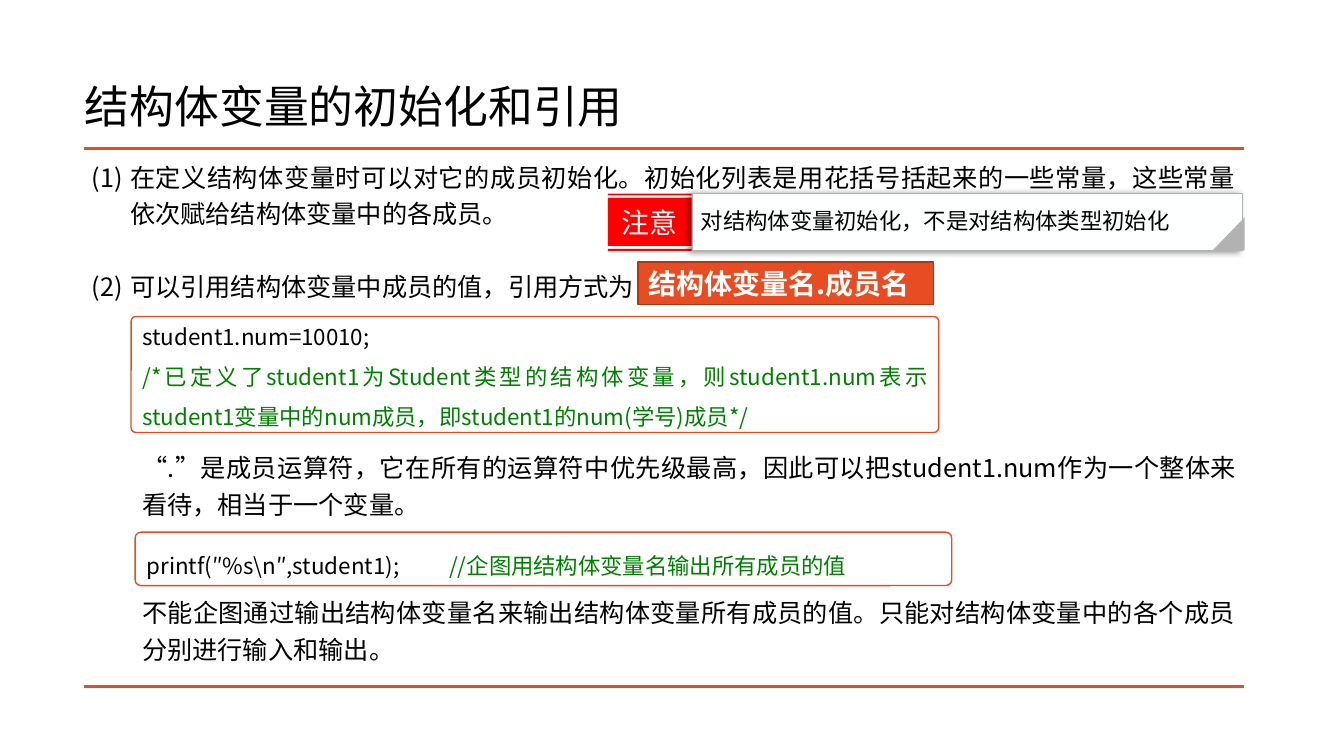
from dataclasses import dataclass

from lxml import etree
from pptx import Presentation
from pptx.dml.color import RGBColor
from pptx.enum.shapes import MSO_CONNECTOR, MSO_SHAPE
from pptx.enum.text import MSO_ANCHOR, PP_ALIGN
from pptx.oxml.ns import qn
from pptx.util import Inches, Pt

JUSTIFY, LEFT, CENTER = PP_ALIGN.JUSTIFY, PP_ALIGN.LEFT, PP_ALIGN.CENTER
TOP, MIDDLE = MSO_ANCHOR.TOP, MSO_ANCHOR.MIDDLE
RECTANGLE, ROUNDED = MSO_SHAPE.RECTANGLE, MSO_SHAPE.ROUNDED_RECTANGLE


@dataclass(frozen=True)
class Theme:
    font: str = "Noto Sans CJK SC"
    black: str = "000000"
    white: str = "FFFFFF"
    orange: str = "E84C22"
    orange_dark: str = "AC3819"
    green: str = "008000"
    red: str = "FF0000"
    gray: str = "B2B2B2"
    off_white: str = "FEFFFF"
    title: int = 32
    label: int = 20
    body: int = 18
    code: int = 16


theme = Theme()


def write(shape, paragraphs, size, align=JUSTIFY, anchor=TOP, insets=(0.1, 0.05), bold=False):
    """Fill a shape with paragraphs given as (line spacing, [(text, colour), ...])."""
    frame = shape.text_frame
    frame.word_wrap = True
    frame.vertical_anchor = anchor
    frame.margin_left = frame.margin_right = Inches(insets[0])
    frame.margin_top = frame.margin_bottom = Inches(insets[1])
    for index, (spacing, spans) in enumerate(paragraphs):
        para = frame.add_paragraph() if index else frame.paragraphs[0]
        para.alignment = align
        para.line_spacing = spacing
        for text, color in spans:
            span = para.add_run()
            span.text = text
            span.font.size = Pt(size)
            span.font.bold = bold
            span.font.color.rgb = RGBColor.from_string(color)
            span.font.name = theme.font
            etree.SubElement(span.font._element, qn("a:ea"), typeface=theme.font)


def paint(shape, fill, line=None, width=1):
    shape.shadow.inherit = False
    shape.fill.solid()
    shape.fill.fore_color.rgb = RGBColor.from_string(fill)
    if line:
        shape.line.color.rgb = RGBColor.from_string(line)
        shape.line.width = Pt(width)
    else:
        shape.line.fill.background()


deck = Presentation()
deck.slide_width, deck.slide_height = Inches(13.33), Inches(7.5)
page = deck.slides.add_slide(deck.slide_layouts[5])
shapes = page.shapes

title = shapes.title
title.left, title.top, title.width, title.height = map(Inches, (0.74, 0.36, 11.5, 1.45))
write(title, [(0.9, [("结构体变量的初始化和引用", theme.black)])], theme.title, LEFT, MIDDLE)

# Rules above and below the body
body_left, body_top, body_width = 0.83, 1.47, 11.51
for rule_top in (body_top, 6.81):
    rule = shapes.add_connector(MSO_CONNECTOR.STRAIGHT, Inches(body_left), Inches(rule_top),
                                Inches(body_left + body_width), Inches(rule_top))
    rule.line.color.rgb = RGBColor.from_string(theme.orange)
    rule.line.width = Pt(2)
    etree.SubElement(rule._element.spPr, qn("a:effectLst"))

# Body text on a common line grid: first line, line count, number, text
line_pitch = 0.36
body_texts = [
    (0, 2, 1, "在定义结构体变量时可以对它的成员初始化。初始化列表是用花括号括起来的一些常量，"
              "这些常量依次赋给结构体变量中的各成员。"),
    (3, 1, 2, "可以引用结构体变量中成员的值，引用方式为"),
    (8, 2, None, "“.”是成员运算符，它在所有的运算符中优先级最高，"
                 "因此可以把student1.num作为一个整体来看待，相当于一个变量。"),
    (12, 2, None, "不能企图通过输出结构体变量名来输出结构体变量所有成员的值。"
                  "只能对结构体变量中的各个成员分别进行输入和输出。"),
]
for first_line, line_count, number, text in body_texts:
    box = shapes.add_textbox(Inches(body_left), Inches(body_top + first_line * line_pitch),
                             Inches(body_width), Inches(line_count * line_pitch + 0.16))
    write(box, [(1.2, [(text, theme.black)])], theme.body, insets=(0.08, 0.08))
    properties = box.text_frame.paragraphs[0]._p.get_or_add_pPr()
    indent = 0.38 if number else 0.5
    properties.set("marL", str(Inches(indent)))
    properties.set("indent", str(-Inches(indent) if number else 0))
    if number:
        etree.SubElement(properties, qn("a:buFont"), typeface=theme.font)
        etree.SubElement(properties, qn("a:buAutoNum"), type="arabicParenBoth",
                         startAt=str(number))

# Syntax label
syntax = shapes.add_shape(RECTANGLE, Inches(6.33), Inches(2.6), Inches(2.93), Inches(0.42))
paint(syntax, theme.orange, theme.orange_dark)
write(syntax, [(1.0, [("结构体变量名.成员名", theme.white)])], theme.label,
      anchor=MIDDLE, insets=(0.1, 0), bold=True)

# Code frames
code_frames = [
    ((1.3, 3.14, 8.01, 1.15), 0.04, [
        (1.0, [("student1.num=10010;", theme.black)]),
        (1.5, [("/*已定义了student1为Student类型的结构体变量，则student1.num表示"
                "student1变量中的num成员，即student1的num(学号)成员*/", theme.green)]),
    ]),
    ((1.34, 5.28, 8.1, 0.53), 0.11, [
        (1.5, [("printf(″%s\\n″,student1);\t", theme.black),
               ("//企图用结构体变量名输出所有成员的值", theme.green)]),
    ]),
]
for place, rounding, paragraphs in code_frames:
    code = shapes.add_shape(ROUNDED, *map(Inches, place))
    code.adjustments[0] = rounding
    paint(code, theme.white, theme.orange)
    write(code, paragraphs, theme.code)

# Notice: red tag made of three bands, card with shadow, folded corner
tag_left, tag_right = Inches(6.03), Inches(6.86)
bands = [(1.92, 1.94), (1.96, 2.44), (2.47, 2.49)]
outline = shapes.build_freeform(tag_left, Inches(bands[0][0]))
for band_top, band_bottom in bands:
    top, bottom = Inches(band_top), Inches(band_bottom)
    outline.move_to(tag_left, top)
    outline.add_line_segments([(tag_right, top), (tag_right, bottom), (tag_left, bottom)])
tag = outline.convert_to_shape()
paint(tag, theme.red)
write(tag, [(1.0, [("注意", theme.off_white)])], theme.label, CENTER, MIDDLE)

card = shapes.add_shape(RECTANGLE, Inches(6.87), Inches(1.92), Inches(5.45), Inches(0.57))
paint(card, theme.off_white, theme.gray, 0.75)
effects = card._element.spPr.find(qn("a:effectLst"))
shadow = etree.SubElement(effects, qn("a:outerShdw"), blurRad=str(Pt(4)), dist=str(Pt(3)),
                          dir=str(180 * 60000), algn="t", rotWithShape="0")
shadow_color = etree.SubElement(shadow, qn("a:srgbClr"), val=theme.black)
etree.SubElement(shadow_color, qn("a:alpha"), val="40000")
write(card, [(1.2, [("对结构体变量初始化，不是对结构体类型初始化", theme.black)])],
      theme.code, insets=(0.08, 0.08))

fold = shapes.add_shape(MSO_SHAPE.RIGHT_TRIANGLE, Inches(12.02), Inches(2.16),
                        Inches(0.33), Inches(0.32))
fold.rotation = 270
paint(fold, theme.gray)

deck.save("out.pptx")
